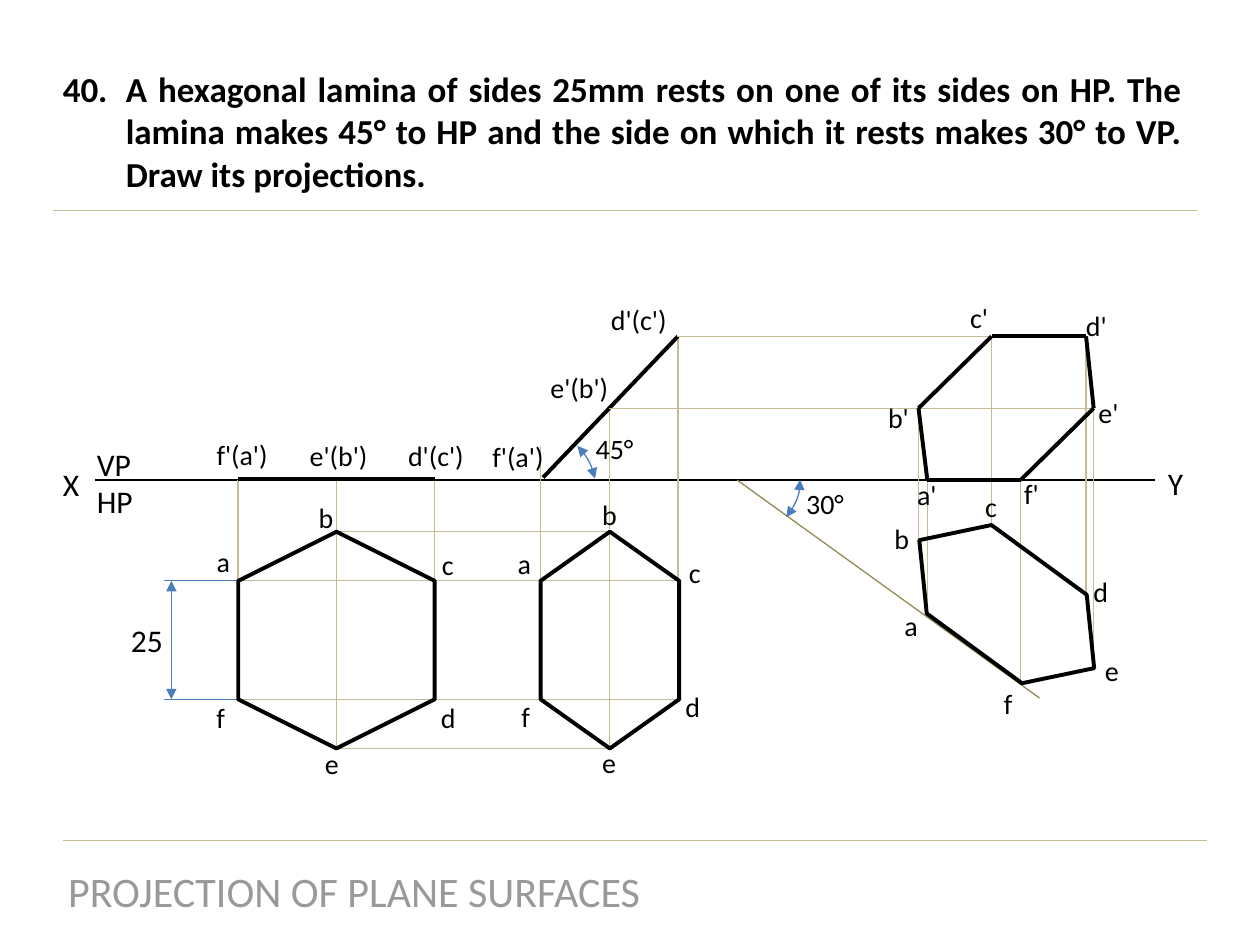
from lxml import etree
from pptx import Presentation
from pptx.dml.color import RGBColor
from pptx.enum.shapes import MSO_CONNECTOR, MSO_SHAPE
from pptx.enum.text import PP_ALIGN
from pptx.oxml.ns import qn
from pptx.util import Inches, Pt

BLACK = RGBColor(0x00, 0x00, 0x00)
GREY = RGBColor(0x99, 0x99, 0x99)
TAN = RGBColor(0xC4, 0xBD, 0x97)
OLIVE = RGBColor(0x93, 0x89, 0x53)
BLUE = RGBColor(0x4A, 0x7D, 0xBB)
THIN, THICK = 0.75, 2.25
LABEL_WIDTHS = {"a": 0.31, "b": 0.32, "c": 0.3, "d": 0.32, "e": 0.31, "f": 0.27,
                "f'(a')": 0.62, "e'(b')": 0.67, "d'(c')": 0.65}


def add_arrowheads(sp):
    ln = sp.line._get_or_add_ln()
    for tag in ("a:headEnd", "a:tailEnd"):
        etree.SubElement(ln, qn(tag)).set("type", "triangle")


def add_line(shapes, start, end, color=TAN, width=THIN):
    cxn = shapes.add_connector(MSO_CONNECTOR.STRAIGHT, *map(Inches, start + end))
    cxn.line.color.rgb = color
    cxn.line.width = Pt(width)
    etree.SubElement(cxn._element.spPr, qn("a:effectLst"))
    return cxn


def add_outline(shapes, kind, box, rotation, adjustments, color=BLACK, width=THICK):
    """Add an unfilled preset shape; box is its frame before rotation."""
    sp = shapes.add_shape(kind, *map(Inches, box))
    sp.rotation = rotation
    for i, value in enumerate(adjustments):
        sp.adjustments[i] = value
    sp.fill.background()
    sp.line.color.rgb = color
    sp.line.width = Pt(width)
    sp.shadow.inherit = False
    return sp


def add_text(shapes, box, text, size=16, color=BLACK, align=PP_ALIGN.LEFT, wrap=False):
    tf = shapes.add_textbox(*map(Inches, box)).text_frame
    tf.word_wrap = wrap
    tf.text = text
    for p in tf.paragraphs:
        p.alignment = align
        for r in p.runs:
            r.font.name = "Calibri"
            r.font.size = Pt(size)
            r.font.color.rgb = color
    return tf


def add_labels(shapes, left, top, labels):
    """Place point labels; labels holds (text, x, y) offsets from left, top."""
    for text, x, y in labels:
        width = LABEL_WIDTHS.get(text) or LABEL_WIDTHS[text[0]] + 0.05
        add_text(shapes, (left + x, top + y, width, 0.37), text)


def add_angle(shapes, box, rotation, adjustments, text, text_box):
    arc = add_outline(shapes, MSO_SHAPE.ARC, box, rotation, adjustments, BLUE, THIN)
    add_arrowheads(arc)
    add_text(shapes, text_box, text)


def question(shapes, box):
    left, top, width, height = box
    tf = add_text(shapes, box,
                  "A hexagonal lamina of sides 25mm rests on one of its sides on HP. "
                  "The lamina makes 45° to HP and the side on which it rests makes "
                  "30° to VP. Draw its projections.",
                  20, align=PP_ALIGN.JUSTIFY, wrap=True)
    p = tf.paragraphs[0]
    p.runs[0].font.bold = True
    pPr = p._p.get_or_add_pPr()
    pPr.set("marL", str(Inches(0.5)))
    pPr.set("indent", str(-Inches(0.5)))
    bu_clr = etree.SubElement(pPr, qn("a:buClr"))
    etree.SubElement(bu_clr, qn("a:srgbClr")).set("val", str(BLACK))
    bu = etree.SubElement(pPr, qn("a:buAutoNum"))
    bu.set("type", "arabicPeriod")
    bu.set("startAt", "40")
    rule_y = top + height + 0.07
    add_line(shapes, (left + 0.02, rule_y), (left + width + 0.02, rule_y))


def footer(shapes, box):
    left, top, width, height = box
    add_line(shapes, (left, top), (left + width, top))
    add_text(shapes, (left - 0.08, top + 0.15, 4.78, 0.5),
             "PROJECTION OF PLANE SURFACES", 24, GREY, PP_ALIGN.CENTER)


def reference_line(shapes, left, y, width):
    add_line(shapes, (left, y), (left + width, y), BLACK)
    add_text(shapes, (left - 0.35, y - 0.17, 0.33, 0.4), "X", 18)
    add_text(shapes, (left + width, y - 0.18, 0.32, 0.4), "Y", 18)
    add_text(shapes, (left - 0.08, y - 0.33, 0.49, 0.71), "VP\nHP", 18)


def projectors(shapes, first, second, ground):
    """Join the first two plans and their elevations with thin lines."""
    x1, top, w1, height = first
    x2, w2 = second[0], second[2]
    right = x2 + w2
    for y, start, end in ((0, x1 + w1 / 2, x2 + w2 / 2), (0.39, x1, right),
                          (height - 0.39, x1, right),
                          (height, x1 + w1 / 2, x2 + w2 / 2)):
        add_line(shapes, (start, top + y), (end, top + y))
    for x, y1, y2 in ((x1, ground, top + 0.39), (x1 + w1, ground, top + 0.39),
                      (x1 + w1 / 2, ground, top + height),
                      (x2, 3.54, top + height - 0.39),
                      (right - 0.01, 2.67, top + height - 0.39),
                      (x2 + w2 / 2, 3.23, top + height)):
        add_line(shapes, (x, y1), (x, y2))


def plan(shapes, box, labels):
    """Draw a hexagon standing on a corner; box is the area it covers."""
    left, top, width, height = box
    frame = (left + (width - height) / 2, top + (height - width) / 2, height, width)
    add_outline(shapes, MSO_SHAPE.HEXAGON, frame, 90, (0.39 / width, 1.1547))
    add_labels(shapes, left, top, labels)


def side_dimension(shapes, box):
    left, top, width, height = box
    group = shapes.add_group_shape().shapes
    add_arrowheads(add_line(group, (left + 0.06, top), (left + 0.06, top + height), BLUE))
    for y in (top, top + height):
        add_line(group, (left, y), (left + width, y), BLUE)
    add_text(shapes, (left - 0.36, top + 0.27, 0.46, 0.4), "25", 18)


def flat_elevation(shapes, left, y, width):
    add_line(shapes, (left, y), (left + width, y), BLACK, THICK)
    add_labels(shapes, left, y, (("f'(a')", -0.27, -0.38), ("e'(b')", 0.47, -0.37),
                                 ("d'(c')", 1.25, -0.37)))


def tilted_elevation(shapes, box):
    left, top, width, height = box
    add_line(shapes, (left, top + height), (left + width, top), BLACK, THICK)
    add_labels(shapes, left, top, (("f'(a')", -0.5, 0.77), ("e'(b')", -0.04, 0.22),
                                   ("d'(c')", 0.44, -0.32)))
    add_angle(shapes, (left - 0.09, top + 0.79, 0.51, 0.79), 346.7, (181.37, 0.28),
              "45°", (left + 0.32, top + 0.71, 0.56, 0.37))


def final_views(shapes, box):
    """Draw the last elevation with its plan below; both share the same x."""
    left, top, width, height = box
    elevation = {"a": (0.07, 1.14), "b": (0, 0.57), "c": (0.58, 0),
                 "d": (width - 0.06, 0), "e": (width, 0.57), "f": (0.81, 1.14)}
    plan_y = {"a": 2.2, "b": 1.62, "c": 1.5, "d": 2.05, "e": 2.63, "f": height}
    corners = {k: (left + x, top + y) for k, (x, y) in elevation.items()}
    for name, (x, y) in corners.items():
        add_line(shapes, (x, y), (x, top + plan_y[name]))
    for name, start in (("d", 5.37), ("e", 4.83)):
        x, y = corners[name]
        add_line(shapes, (start, y), (x, y))
    add_line(shapes, (left - 1.44, top + 1.14), (left + 0.96, top + 2.87), OLIVE)
    add_outline(shapes, MSO_SHAPE.HEXAGON, (left - 0.16, top + 1.69, 1.72, 0.87),
                36.2, (0.45, 1.1547))
    for start, end in zip("abcdef", "bcdefa"):
        add_line(shapes, corners[start], corners[end], BLACK, THICK)
    add_angle(shapes, (left - 1.69, top + 0.81, 0.67, 0.92), 51.4, (174.47, 202.15),
              "30°", (left - 0.99, top + 1.14, 0.54, 0.37))
    add_labels(shapes, left, top, (
        ("a", -0.21, 2.11), ("b", -0.29, 1.42), ("c", 0.43, 1.17),
        ("d", 1.29, 1.84), ("e", 1.38, 2.47), ("f", 0.58, 2.73),
        ("a'", -0.11, 1.07), ("b'", -0.34, 0.46), ("c'", 0.31, -0.33),
        ("d'", 1.23, -0.27), ("e'", 1.33, 0.42), ("f'", 0.74, 1.06)))


def main():
    prs = Presentation()
    prs.slide_width, prs.slide_height = Inches(10), Inches(7.5)
    shapes = prs.slides.add_slide(prs.slide_layouts[6]).shapes
    ground = 3.81
    first, second = (1.89, 4.22, 1.56, 1.72), (4.29, 4.22, 1.1, 1.72)
    question(shapes, (0.4, 0.49, 9.08, 1.11))
    footer(shapes, (0.5, 6.67, 9.08, 0.65))
    reference_line(shapes, 0.75, ground, 8.42)
    projectors(shapes, first, second, ground)
    side_dimension(shapes, (1.3, 4.61, 0.59, 0.94))
    plan(shapes, first, (("a", -0.27, 0.05), ("b", 0.54, -0.3), ("c", 1.52, 0.08),
                         ("d", 1.51, 1.29), ("e", 0.59, 1.66), ("f", -0.27, 1.29)))
    plan(shapes, second, (("a", -0.28, 0.07), ("b", 0.39, -0.32), ("c", 1.08, 0.14),
                          ("d", 1.05, 1.2), ("e", 0.39, 1.65), ("f", -0.25, 1.28)))
    flat_elevation(shapes, first[0], 3.8, first[2])
    tilted_elevation(shapes, (4.31, 2.67, 1.07, 1.12))
    final_views(shapes, (7.29, 2.67, 1.39, 2.75))
    prs.save("out.pptx")


if __name__ == "__main__":
    main()
